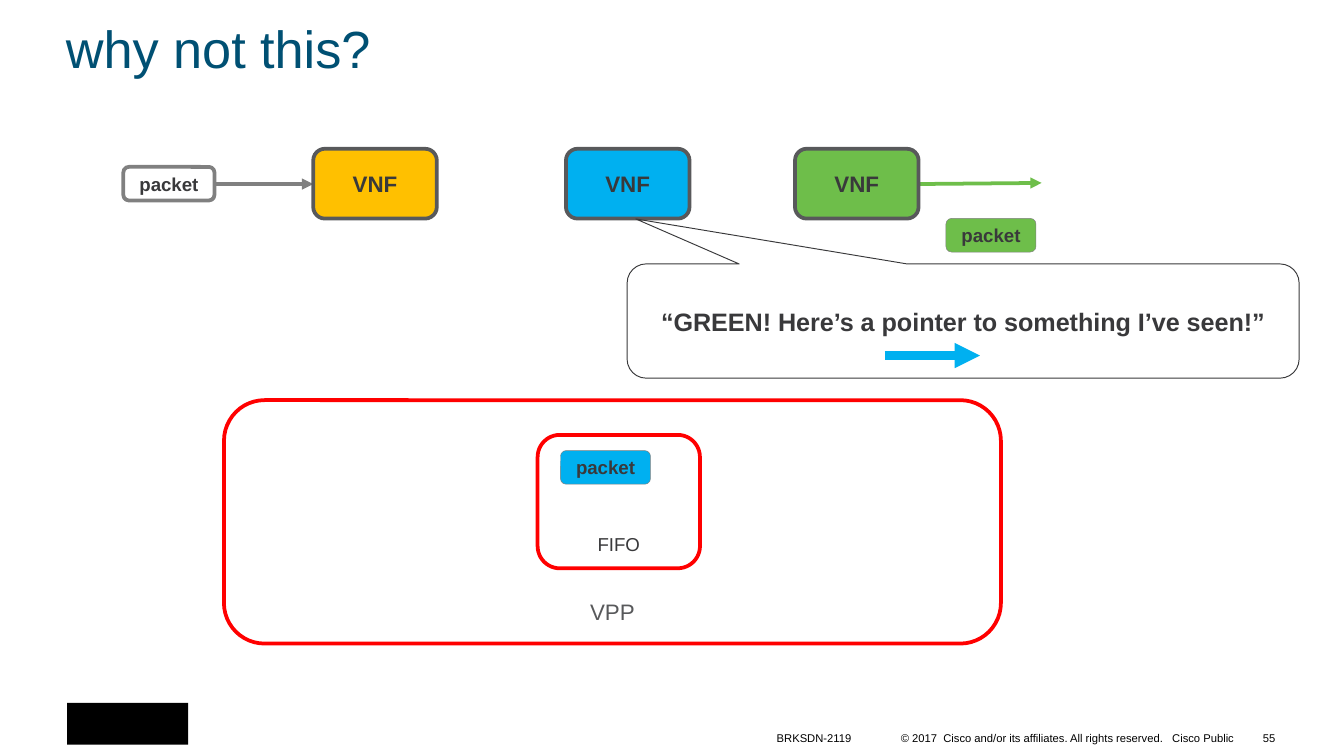
"""Build the slide that asks why service functions should not pass pointers through VPP."""
from dataclasses import dataclass
from typing import Any, Optional

from lxml.etree import SubElement
from pptx import Presentation
from pptx.dml.color import RGBColor
from pptx.enum.shapes import MSO_CONNECTOR as Link, MSO_SHAPE as Preset
from pptx.enum.text import MSO_ANCHOR as Anchor, PP_ALIGN as Align
from pptx.oxml.ns import qn
from pptx.util import Pt

WHITE = RGBColor(0xFF, 0xFF, 0xFF)
BLACK = RGBColor(0x00, 0x00, 0x00)
INK = RGBColor(0x39, 0x39, 0x3B)
SLATE = RGBColor(0x58, 0x59, 0x5B)
GRAY = RGBColor(0x80, 0x80, 0x80)
NAVY = RGBColor(0x00, 0x50, 0x73)
RED = RGBColor(0xFF, 0x00, 0x00)
AMBER = RGBColor(0xFF, 0xC0, 0x00)
BLUE = RGBColor(0x00, 0xB0, 0xF0)
GREEN = RGBColor(0x6E, 0xBE, 0x4A)

Frame = tuple[float, float, float, float]
SIDES = ("left", "top", "width", "height")
VNF_TOP, VNF_WIDTH, VNF_HEIGHT = 79.7, 66.2, 37.4
PACKET_WIDTH, PACKET_HEIGHT = 48.2, 18


@dataclass(frozen=True)
class Node:
    text: str
    frame: Frame
    fill: Optional[RGBColor]
    line: RGBColor
    weight: float = 2
    size: float = 10
    bold: bool = True
    color: RGBColor = INK
    anchor: Anchor = Anchor.MIDDLE
    preset: Preset = Preset.ROUNDED_RECTANGLE
    adjustments: tuple[float, ...] = ()


@dataclass(frozen=True)
class Arrow:
    ends: Frame
    color: RGBColor
    weight: float = 2


@dataclass(frozen=True)
class Note:
    text: str
    frame: Frame
    align: Align
    anchor: Anchor = Anchor.BOTTOM
    margins: tuple[float, float] = (5, 2.2)


def vnf(left: float, fill: RGBColor) -> Node:
    """Describe one network function of the chain."""
    return Node("VNF", (left, VNF_TOP, VNF_WIDTH, VNF_HEIGHT), fill, SLATE, size=12)


def packet(left: float, top: float, fill: RGBColor, weight: float = 0.25,
           width: float = PACKET_WIDTH) -> Node:
    """Describe one packet label."""
    return Node("packet", (left, top, width, PACKET_HEIGHT), fill, GRAY, weight)


BACK_NODES = (
    Node("FIFO", (288, 233, 87, 71.5), WHITE, RED, bold=False, anchor=Anchor.BOTTOM),
    Node("VPP", (120, 214.4, 416.2, 130.4), None, RED, size=12, bold=False,
         color=SLATE, anchor=Anchor.BOTTOM),
)
BACK_ARROWS = (
    Arrow((491.8, 98.6, 558, 98), GREEN),
    Arrow((114.7, 98.6, 167.8, 98.6), GRAY),
)
FRONT_NODES = (
    packet(66.1, 89.4, WHITE, 2, 48.8),
    vnf(303.2, BLUE),
    vnf(425.9, GREEN),
    packet(300.3, 241.4, BLUE),
    vnf(167.8, AMBER),
    packet(506.8, 117, GREEN),
    Node("“GREEN! Here’s a pointer to something I’ve seen!”",
         (336, 141.4, 360, 61.2), None, INK, 0.5, 13.5,
         preset=Preset.ROUNDED_RECTANGULAR_CALLOUT, adjustments=(-0.487, -0.894, 0.167)),
)
FRONT_ARROWS = (Arrow((474, 190.5, 525, 190.5), BLUE, 4.5),)
NOTES = (
    Note("© 2017  Cisco and/or its affiliates. All rights reserved.   Cisco Public",
         (471.6, 389, 194.4, 12.2), Align.RIGHT),
    Note("BRKSDN-2119", (411.1, 389, 56.2, 12.2), Align.LEFT),
    Note("55", (662.2, 384.5, 28.1, 21.6), Align.RIGHT, Anchor.MIDDLE, (7.2, 3.6)),
)


def apply(target: Any, values: dict[str, Any]) -> None:
    """Set every named attribute on the target."""
    for name, value in values.items():
        setattr(target, name, value)


def points(lengths: tuple[float, ...]) -> list[Pt]:
    """Convert plain numbers to point lengths."""
    return [Pt(length) for length in lengths]


def write(box: Any, text: str, size: float, color: RGBColor, align: Align,
          anchor: Anchor, bold: bool = False) -> None:
    """Write one formatted paragraph in a box."""
    apply(box.text_frame, {"word_wrap": True, "vertical_anchor": anchor})
    para = box.text_frame.paragraphs[0]
    para.alignment = align
    span = para.add_run()
    span.text = text
    apply(span.font, {"name": "Arial", "size": Pt(size), "bold": bold})
    span.font.color.rgb = color


def draw_node(page: Any, node: Node) -> None:
    """Draw a labelled shape."""
    box = page.shapes.add_shape(node.preset, *points(node.frame))
    box.shadow.inherit = False
    for index, value in enumerate(node.adjustments):
        box.adjustments[index] = value
    if node.fill is None:
        box.fill.background()
    else:
        box.fill.solid()
        box.fill.fore_color.rgb = node.fill
    box.line.width = Pt(node.weight)
    box.line.color.rgb = node.line
    write(box, node.text, node.size, node.color, Align.CENTER, node.anchor, node.bold)


def draw_arrow(page: Any, arrow: Arrow) -> None:
    """Draw a straight connector with a triangular head."""
    connector = page.shapes.add_connector(Link.STRAIGHT, *points(arrow.ends))
    connector.line.width = Pt(arrow.weight)
    connector.line.color.rgb = arrow.color
    properties = connector._element.spPr
    SubElement(properties.find(qn("a:ln")), qn("a:tailEnd"), type="triangle")
    SubElement(properties, qn("a:effectLst"))


def draw_note(page: Any, note: Note) -> None:
    """Draw a small footer text."""
    box = page.shapes.add_textbox(*points(note.frame))
    across, down = points(note.margins)
    apply(box.text_frame, {"margin_left": across, "margin_right": across,
                           "margin_top": down, "margin_bottom": down})
    write(box, note.text, 6, BLACK, note.align, note.anchor)


def draw_emblem(page: Any) -> None:
    """Draw the plain block in the footer corner."""
    block = page.shapes.add_shape(Preset.RECTANGLE, *points((36, 376.6, 64.8, 22.3)))
    block.shadow.inherit = False
    block.fill.solid()
    block.fill.fore_color.rgb = BLACK
    block.line.fill.background()


def draw_title(page: Any) -> None:
    """Place and format the slide title."""
    title = page.shapes.title
    apply(title, dict(zip(SIDES, points((28.1, 11.8, 670.3, 34.6)))))
    write(title, "why not this?", 28, NAVY, Align.LEFT, Anchor.BOTTOM)
    title.text_frame.paragraphs[0].line_spacing = 0.9


def main() -> None:
    """Build and save the deck."""
    deck = Presentation()
    apply(deck, {"slide_width": Pt(720), "slide_height": Pt(405)})
    page = deck.slides.add_slide(deck.slide_layouts[5])
    draw_title(page)
    draw_emblem(page)
    for nodes, arrows in ((BACK_NODES, BACK_ARROWS), (FRONT_NODES, FRONT_ARROWS)):
        for node in nodes:
            draw_node(page, node)
        for arrow in arrows:
            draw_arrow(page, arrow)
    for note in NOTES:
        draw_note(page, note)
    deck.save("out.pptx")


if __name__ == "__main__":
    main()
